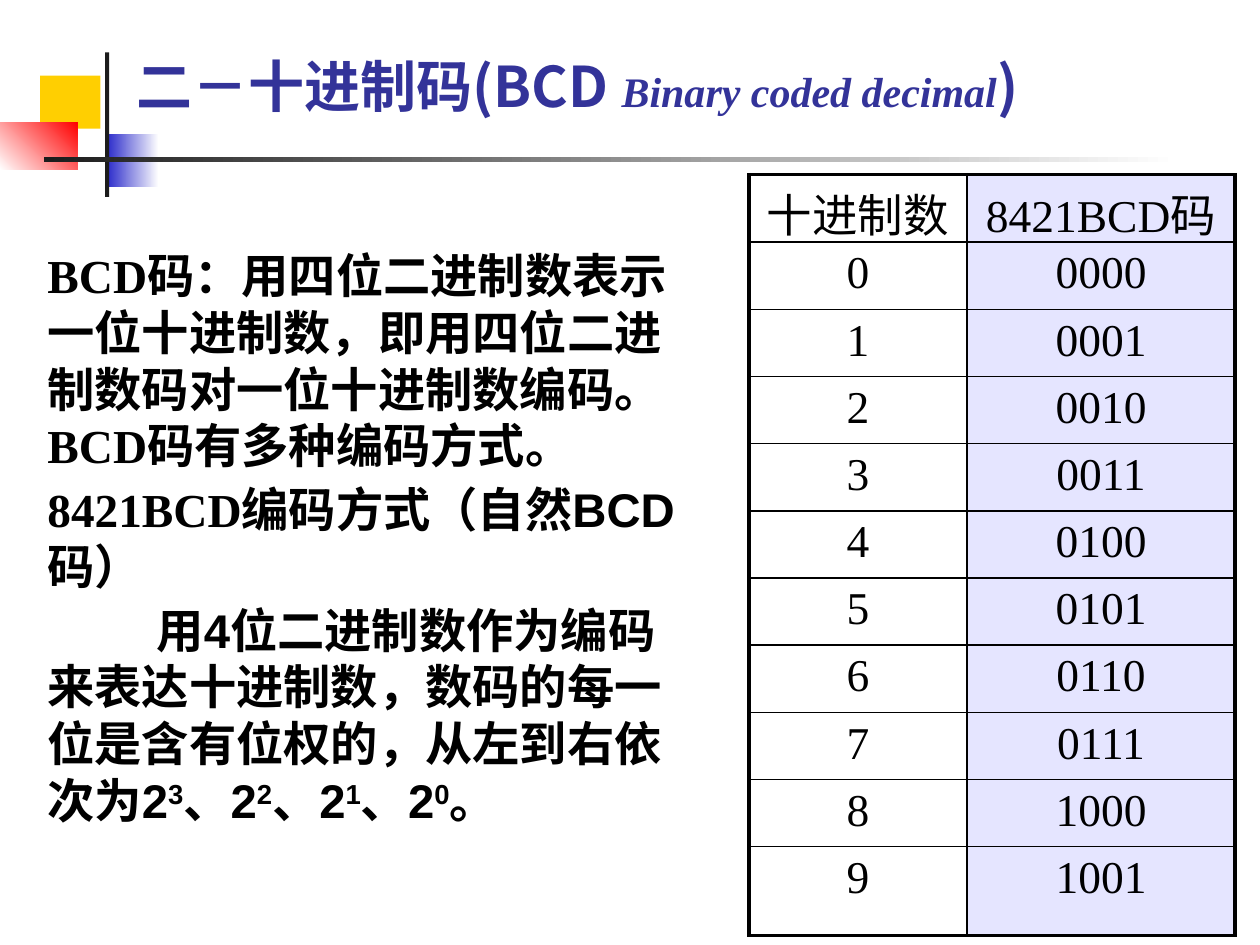
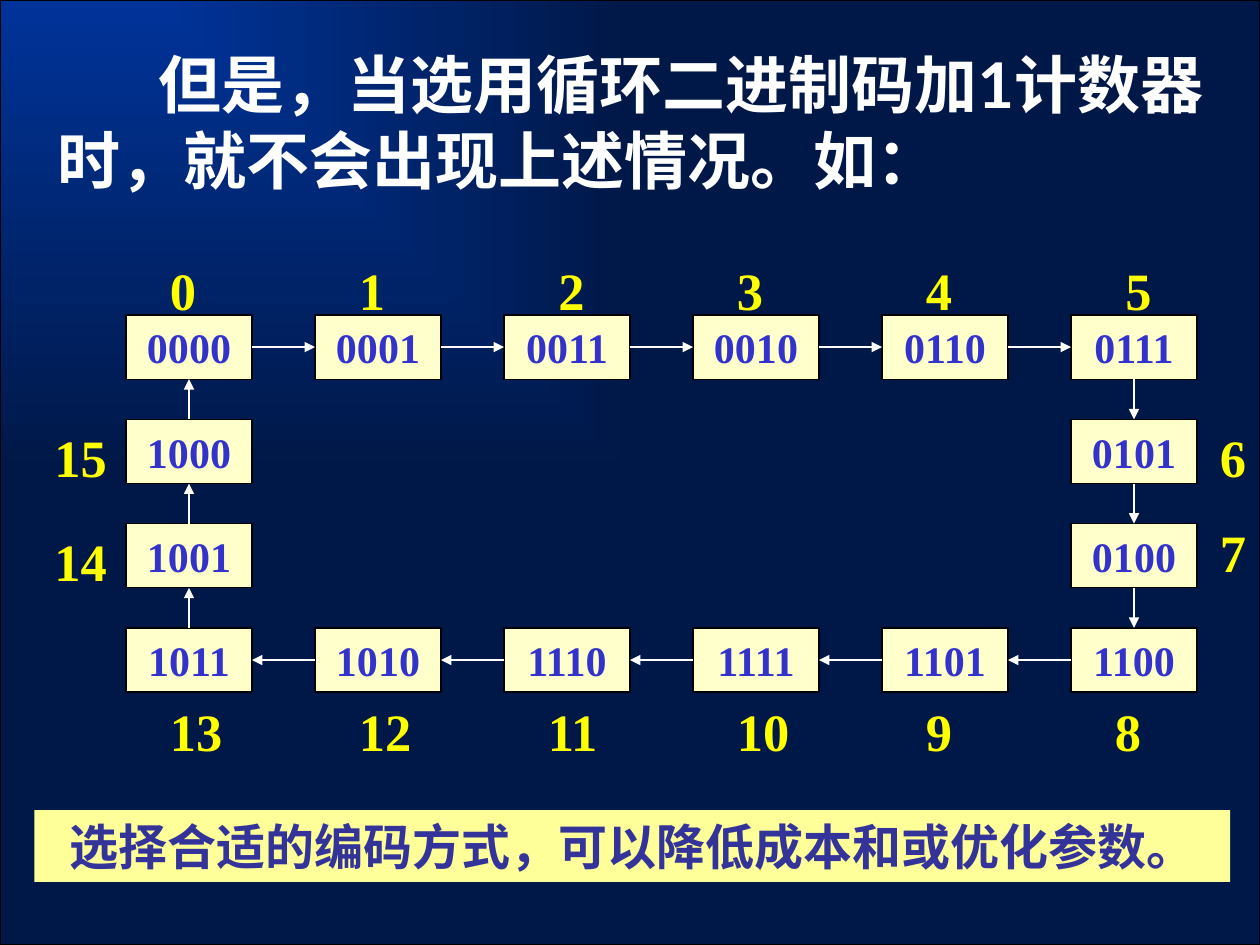
"""Build two slides on BCD codes and the cyclic binary counter."""
from lxml.etree import SubElement
from pptx import Presentation
from pptx.dml.color import RGBColor
from pptx.enum.lang import MSO_LANGUAGE_ID
from pptx.enum.shapes import MSO_CONNECTOR, MSO_SHAPE
from pptx.enum.text import MSO_ANCHOR, MSO_AUTO_SIZE, PP_ALIGN
from pptx.oxml.ns import qn
from pptx.util import Pt

SERIF, SANS, CJK, LATO = "Times New Roman", "Arial", "Noto Sans CJK SC", "Lato"
BLACK, WHITE, INDIGO, BLUE, YELLOW = "000000", "FFFFFF", "333399", "3333CC", "FFFF00"
CHARCOAL, LAVENDER, CREAM, LEMON = "1C1C1C", "E5E5FF", "FFFFCC", "FFFF99"

DECORATIONS = [
    ((23, 43.2, 34.4, 30.4), ["FFCF01"], 0),
    ((62.2, 76.4, 28.6, 30.4), [BLUE, WHITE], 0),
    ((0, 69.8, 44.2, 27.2), [WHITE, "FF0000"], 45),
    ((60, 30, 2.4, 82.6), [CHARCOAL], 0),
    ((25.2, 89.8, 648, 2.6), [CHARCOAL, WHITE], 0),
]

BCD_TITLE = [
    ("二－十进制码(BCD ", dict(size=32, font=CJK)),
    ("Binary coded decimal", dict(size=24, font=SERIF, italic=True)),
    (")", dict(size=32, font=CJK)),
]
SERIF_BODY, SANS_BODY = dict(font=SERIF), dict(font=SANS)
SUPERSCRIPT = dict(font=SANS, raised=True)
BCD_PARAGRAPHS = [
    (0, [("BCD码：用四位二进制数表示一位十进制数，即用四位二进制数码对一位十进制数编码。"
          "BCD码有多种编码方式。", SERIF_BODY)]),
    (0, [("8421BCD编码方式（", SERIF_BODY), ("自然BCD码）", SANS_BODY)]),
    (62.4, [("用4位二进制数作为编码来表达十进制数，数码的每一位是含有位权的，"
             "从左到右依次为2", SANS_BODY), ("3", SUPERSCRIPT),
            ("、2", SANS_BODY), ("2", SUPERSCRIPT),
            ("、2", SANS_BODY), ("1", SUPERSCRIPT),
            ("、2", SANS_BODY), ("0", SUPERSCRIPT), ("。", SANS_BODY)]),
]
BCD_ROWS = [("十进制数", "8421BCD码")] + [(str(n), f"{n:04b}") for n in range(10)]
COLUMN_WIDTHS = (124.6, 153.2)
ROW_HEIGHT, LAST_ROW_HEIGHT = 38.4, 50.9

COUNTER_TITLE = "但是，当选用循环二进制码加1计数器时，就不会出现上述情况。如："
COUNTER_BANNER = "选择合适的编码方式，可以降低成本和或优化参数。"
CYCLIC_CODES = [f"{n ^ n >> 1:04b}" for n in range(16)]
BOX_WIDTH, BOX_HEIGHT = 72, 36.7
COLUMN_STEP, ROW_STEP = 108, 59.6
RING = ([(column, 0) for column in range(6)] + [(5, 1), (5, 2)]
        + [(column, 3) for column in range(5, -1, -1)] + [(0, 2), (0, 1)])
LABEL_NUDGES = {2: (6, 0), 5: (6, 0), 7: (0, -5)}
TOP, LEFT, BOTTOM, RIGHT = range(4)


def color(value):
    """Turn a hex string into a colour."""
    return RGBColor.from_string(value)


def points(*lengths):
    """Convert numbers to lengths in points."""
    return [Pt(length) for length in lengths]


def place(shape, left, top, width, height):
    """Move and size a shape."""
    shape.left, shape.top, shape.width, shape.height = points(left, top, width, height)


def add_run(paragraph, text, size, font, fill, bold=True, italic=False,
            raised=False, asian=CJK):
    """Append one formatted run."""
    run = paragraph.add_run()
    run.text = text
    run.font.size = Pt(size)
    run.font.bold, run.font.italic = bold, italic
    run.font.color.rgb = color(fill)
    run.font.name = font
    run.font.language_id = MSO_LANGUAGE_ID.SIMPLIFIED_CHINESE
    properties = run.font._element
    SubElement(properties, qn("a:ea")).set("typeface", asian)
    if raised:
        properties.set("baseline", "30000")


def set_frame(shape, anchor, wrap=True):
    """Fix anchor and wrapping, and return the text frame."""
    frame = shape.text_frame
    frame.auto_size = MSO_AUTO_SIZE.NONE
    frame.word_wrap = wrap
    frame.vertical_anchor = anchor
    return frame


def set_indent(paragraph, first_line):
    """Remove bullet and hanging punctuation, and indent only the first line."""
    properties = paragraph._p.get_or_add_pPr()
    properties.set("marL", "0")
    properties.set("indent", str(Pt(first_line)))
    properties.set("hangingPunct", "0")
    SubElement(properties, qn("a:buNone"))


def add_block(slide, bounds, fills, angle=0, outline=None):
    """Draw a rectangle with a solid or two-colour fill."""
    shape = slide.shapes.add_shape(MSO_SHAPE.RECTANGLE, *points(*bounds))
    shape.shadow.inherit = False
    if len(fills) == 1:
        shape.fill.solid()
        shape.fill.fore_color.rgb = color(fills[0])
    else:
        shape.fill.gradient()
        shape.fill.gradient_angle = angle
        for stop, value in zip(shape.fill.gradient_stops, fills):
            stop.color.rgb = color(value)
    if outline:
        shape.line.color.rgb = color(outline)
        shape.line.width = Pt(0.75)
    else:
        shape.line.fill.background()
    return shape


def decorate_master(presentation, slide):
    """Draw the decorations and move them behind the master placeholders."""
    first_placeholder = presentation.slide_master.placeholders[0].element
    for number, (bounds, fills, angle) in enumerate(DECORATIONS, start=20):
        element = add_block(slide, bounds, fills, angle).element
        element.nvSpPr.cNvPr.set("id", str(number))
        first_placeholder.addprevious(element)


def write_centered(shape, text, size, font, fill):
    """Write one centred line into a block."""
    paragraph = set_frame(shape, MSO_ANCHOR.MIDDLE).paragraphs[0]
    paragraph.alignment = PP_ALIGN.CENTER
    add_run(paragraph, text, size, font, fill)


def set_borders(cell, widths):
    """Give a cell black borders: left, right, top, bottom."""
    properties = cell._tc.get_or_add_tcPr()
    for index, (side, width) in enumerate(zip("LRTB", widths)):
        line = SubElement(properties, qn(f"a:ln{side}"), w=str(Pt(width)))
        SubElement(SubElement(line, qn("a:solidFill")), qn("a:srgbClr"), val=BLACK)
        properties.insert(index, line)


def add_code_table(slide):
    """Draw the decimal to BCD table."""
    last = len(BCD_ROWS) - 1
    bounds = (428, 99.8, sum(COLUMN_WIDTHS), last * ROW_HEIGHT + LAST_ROW_HEIGHT)
    table = slide.shapes.add_table(len(BCD_ROWS), 2, *points(*bounds)).table
    table.first_row = table.horz_banding = False
    for column, width in zip(table.columns, COLUMN_WIDTHS):
        column.width = Pt(width)
    for row_index, texts in enumerate(BCD_ROWS):
        table.rows[row_index].height = Pt(LAST_ROW_HEIGHT if row_index == last else ROW_HEIGHT)
        for column_index, text in enumerate(texts):
            cell = table.cell(row_index, column_index)
            cell.margin_top, cell.margin_bottom = points(*((3.6, 3.6) if row_index else (7.2, 0)))
            cell.margin_left = cell.margin_right = Pt(3.6)
            if column_index:
                cell.fill.solid()
                cell.fill.fore_color.rgb = color(LAVENDER)
            else:
                cell.fill.background()
            outer = (column_index == 0, column_index == 1, row_index == 0, row_index == last)
            set_borders(cell, [2.25 if edge else 1 for edge in outer])
            paragraph = cell.text_frame.paragraphs[0]
            paragraph.alignment = PP_ALIGN.CENTER
            add_run(paragraph, text, 26, SERIF, BLACK, bold=False, asian=LATO)


def build_bcd_slide(presentation):
    """Build the slide that explains BCD codes."""
    slide = presentation.slides.add_slide(presentation.slide_layouts[1])
    decorate_master(presentation, slide)
    title, body = slide.shapes.title, slide.placeholders[1]
    place(title, 70.6, 26, 544.3, 45.4)
    paragraph = set_frame(title, MSO_ANCHOR.MIDDLE).paragraphs[0]
    paragraph.alignment = PP_ALIGN.LEFT
    for text, style in BCD_TITLE:
        add_run(paragraph, text, fill=INDIGO, **style)
    place(body, 19.9, 137.2, 374.4, 402.5)
    frame = set_frame(body, MSO_ANCHOR.TOP)
    for index, (indent, runs) in enumerate(BCD_PARAGRAPHS):
        paragraph = frame.add_paragraph() if index else frame.paragraphs[0]
        set_indent(paragraph, indent)
        paragraph.space_before = Pt(4 if index else 0)
        for text, style in runs:
            add_run(paragraph, text, 27, fill=BLACK, asian=LATO, **style)
    add_code_table(slide)


def add_backdrop(slide):
    """Cover the slide with a gradient that spreads from the top left corner."""
    backdrop = add_block(slide, (0, 0, 720, 540), ["003399", "001847"], outline=BLACK)
    gradient = backdrop.element.spPr.find(qn("a:gradFill"))
    gradient.remove(gradient.find(qn("a:lin")))
    spread = SubElement(gradient, qn("a:path"), path="rect")
    SubElement(spread, qn("a:fillToRect"), r="100000", b="100000")
    slide.shapes.title.element.addprevious(backdrop.element)


def add_arrow(slide, start, start_site, end, end_site):
    """Join two boxes with a white arrow."""
    arrow = slide.shapes.add_connector(MSO_CONNECTOR.STRAIGHT, *points(0, 0, 0, 0))
    arrow.begin_connect(start, start_site)
    arrow.end_connect(end, end_site)
    arrow.line.color.rgb = color(WHITE)
    arrow.line.width = Pt(0.75)
    SubElement(arrow.line._get_or_add_ln(), qn("a:tailEnd"), type="triangle")
    SubElement(arrow.element.spPr, qn("a:effectLst"))


def label_offset(column, row):
    """Place a state number outside the ring, relative to its box."""
    if row in (0, 3):
        return 18, (37 if row else -36)
    return (78 if column else -48), -0.4


def add_counter_ring(slide):
    """Draw the sixteen states, their numbers and the arrows between them."""
    boxes = []
    for number, ((column, row), code) in enumerate(zip(RING, CYCLIC_CODES)):
        left, top = 72 + column * COLUMN_STEP, 180 + row * ROW_STEP
        box = add_block(slide, (left, top, BOX_WIDTH, BOX_HEIGHT), [CREAM], outline=BLACK)
        write_centered(box, code, 24, SERIF, BLUE)
        boxes.append(box)
        shift, drop = label_offset(column, row)
        nudge_x, nudge_y = LABEL_NUDGES.get(number, (0, 0))
        label = slide.shapes.add_textbox(
            *points(left + shift + nudge_x, top + drop + nudge_y, 30 if number < 9 else 48, 43.2))
        paragraph = set_frame(label, MSO_ANCHOR.TOP, wrap=False).paragraphs[0]
        add_run(paragraph, str(number), 30, SERIF, YELLOW)
    sites = [(RIGHT, LEFT)] * 5 + [(BOTTOM, TOP)] * 3 + [(LEFT, RIGHT)] * 5 + [(TOP, BOTTOM)] * 3
    for start, end, (start_site, end_site) in zip(boxes, boxes[1:] + boxes[:1], sites):
        add_arrow(slide, start, start_site, end, end_site)


def build_counter_slide(presentation):
    """Build the slide with the cyclic code counter."""
    slide = presentation.slides.add_slide(presentation.slide_layouts[5])
    title = slide.shapes.title
    add_backdrop(slide)
    place(title, 25.5, 26, 671.8, 90)
    paragraph = set_frame(title, MSO_ANCHOR.BOTTOM).paragraphs[0]
    paragraph.alignment = PP_ALIGN.LEFT
    set_indent(paragraph, 58)
    add_run(paragraph, COUNTER_TITLE, 36, LATO, WHITE, asian=LATO)
    add_counter_ring(slide)
    banner = add_block(slide, (19.7, 463, 683.3, 41), [LEMON])
    write_centered(banner, COUNTER_BANNER, 28, SANS, INDIGO)


def main():
    """Build and save the presentation."""
    presentation = Presentation()
    presentation.slide_width, presentation.slide_height = points(720, 540)
    build_bcd_slide(presentation)
    build_counter_slide(presentation)
    presentation.save("out.pptx")


if __name__ == "__main__":
    main()
